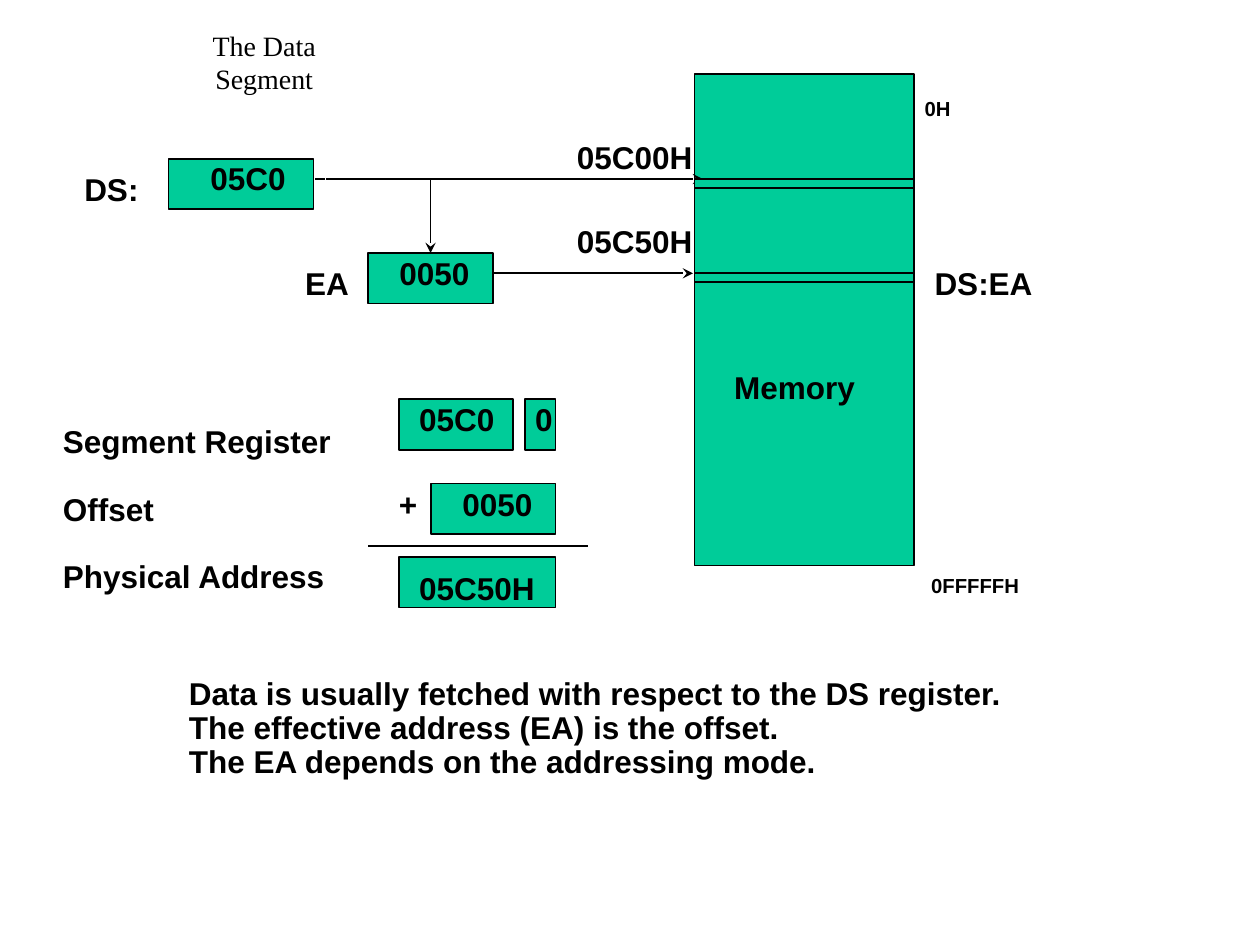
from lxml import etree
from pptx import Presentation
from pptx import util as u
from pptx.dml.color import RGBColor
from pptx.enum import shapes, text
from pptx.oxml import ns


def color(value):
    return RGBColor.from_string(value)


class Diagram:
    black = "000000"
    green = "00CC99"
    font_name = "Arial"

    def __init__(self, presentation):
        self.slide = presentation.slides.add_slide(presentation.slide_layouts[5])

    def style_run(self, run, size, font_name, bold):
        run.font.name = font_name
        run.font.size = u.Pt(size)
        run.font.bold = bold
        run.font.color.rgb = color(self.black)

    def title(self, content, left, top, width, height):
        shape = self.slide.shapes.title
        shape.left, shape.top = u.Cm(left), u.Cm(top)
        shape.width, shape.height = u.Cm(width), u.Cm(height)
        frame = shape.text_frame
        frame.word_wrap = False
        frame.auto_size = text.MSO_AUTO_SIZE.NONE
        frame.vertical_anchor = text.MSO_ANCHOR.TOP
        frame.margin_left = frame.margin_right = u.Cm(0.18)
        frame.margin_top = frame.margin_bottom = u.Cm(0.09)
        paragraph = frame.paragraphs[0]
        paragraph.alignment = text.PP_ALIGN.CENTER
        run = paragraph.add_run()
        run.text = content
        self.style_run(run, 16, "Times New Roman", False)

    def box(self, left, top, width, height):
        shape = self.slide.shapes.add_shape(
            shapes.MSO_SHAPE.RECTANGLE,
            u.Cm(left), u.Cm(top), u.Cm(width), u.Cm(height))
        shape.shadow.inherit = False
        shape.fill.solid()
        shape.fill.fore_color.rgb = color(self.green)
        shape.line.color.rgb = color(self.black)
        shape.line.width = u.Pt(1)
        return shape

    def label(self, lines, left, top, width, height=0.94, gap=0, subscript=False):
        shape = self.slide.shapes.add_textbox(
            u.Cm(left), u.Cm(top), u.Cm(width), u.Cm(height))
        frame = shape.text_frame
        frame.word_wrap = False
        frame.auto_size = text.MSO_AUTO_SIZE.SHAPE_TO_FIT_TEXT
        for index, line in enumerate(lines):
            paragraph = frame.add_paragraph() if index else frame.paragraphs[0]
            paragraph.line_spacing = 0.9
            if index and gap:
                paragraph.space_before = u.Pt(gap)
            run = paragraph.add_run()
            run.text = line
            self.style_run(run, 20 if subscript else 18, self.font_name, True)
            if subscript:
                run.font._element.set("baseline", "-25000")

    def line(self, start, end, arrow=False, target=None):
        connector = self.slide.shapes.add_connector(
            shapes.MSO_CONNECTOR.STRAIGHT, *[u.Cm(value) for value in start + end])
        connector.line.color.rgb = color(self.black)
        connector.line.width = u.Pt(1)
        if arrow:
            outline = connector.line._get_or_add_ln()
            etree.SubElement(outline, ns.qn("a:tailEnd"), type="stealth")
        etree.SubElement(connector._element.spPr, ns.qn("a:effectLst"))
        if target is not None:
            connector.end_connect(target, 0)


def main():
    presentation = Presentation()
    presentation.slide_width = u.Cm(25.4)
    presentation.slide_height = u.Cm(19.05)
    diagram = Diagram(presentation)

    diagram.title("The Data Segment", 3.05, 0.48, 4.55, 0.81)

    memory_left, memory_width = 14, 4.42
    segment_y, address_y = 3.61, 5.51
    register_height = 1.02
    diagram.box(memory_left, 1.5, memory_width, 9.9)
    diagram.box(3.4, 3.2, 2.92, register_height)
    offset_box = diagram.box(7.42, 5.1, 2.52, register_height)
    diagram.line((6.58, segment_y), (14.17, segment_y), arrow=True)
    diagram.line((8.68, segment_y), (8.68, 5.1), arrow=True, target=offset_box)
    diagram.line((9.96, address_y), (13.97, address_y), arrow=True)
    for top in (segment_y, address_y):
        diagram.box(memory_left, top, memory_width, 0.18)

    for left, top, width in (
        (8.05, 8.05, 2.29),
        (10.59, 8.05, 0.61),
        (8.69, 9.75, 2.51),
        (8.05, 11.23, 3.15),
    ):
        diagram.box(left, top, width, register_height)
    diagram.line((7.42, 11), (11.86, 11))
    diagram.line((6.35, segment_y), (6.55, segment_y))

    for content, left, top, width in (
        ("Memory", 14.55, 7.39, 2.95),
        ("+", 7.79, 9.73, 0.89),
        ("DS:", 1.45, 3.38, 1.6),
        ("EA", 5.9, 5.28, 1.4),
        ("05C0", 3.99, 3.17, 2.03),
        ("0050", 7.8, 5.08, 1.93),
        ("05C00H", 11.38, 2.74, 2.84),
        ("05C50H", 11.38, 4.44, 2.84),
        ("05C0", 8.2, 8.03, 2.03),
        ("0", 10.54, 8.03, 0.86),
        ("0050", 9.07, 9.73, 1.93),
        ("05C50H", 8.2, 11.43, 2.84),
        ("DS:EA", 18.59, 5.28, 2.49),
    ):
        diagram.label([content], left, top, width)

    diagram.label(["Segment Register", "Offset", "Physical Address"],
                  1.02, 8.46, 5.92, 3.68, gap=19.4)
    diagram.label(["Data is usually fetched with respect to the DS register.",
                   "The effective address (EA) is the offset.",
                   "The EA depends on the addressing mode."],
                  3.56, 13.54, 16.92, 2.31)
    diagram.label(["0H"], 18.39, 1.35, 1.04, 1.12, subscript=True)
    diagram.label(["0FFFFFH"], 18.52, 10.97, 2.29, 1.12, subscript=True)

    presentation.save("out.pptx")


if __name__ == "__main__":
    main()
